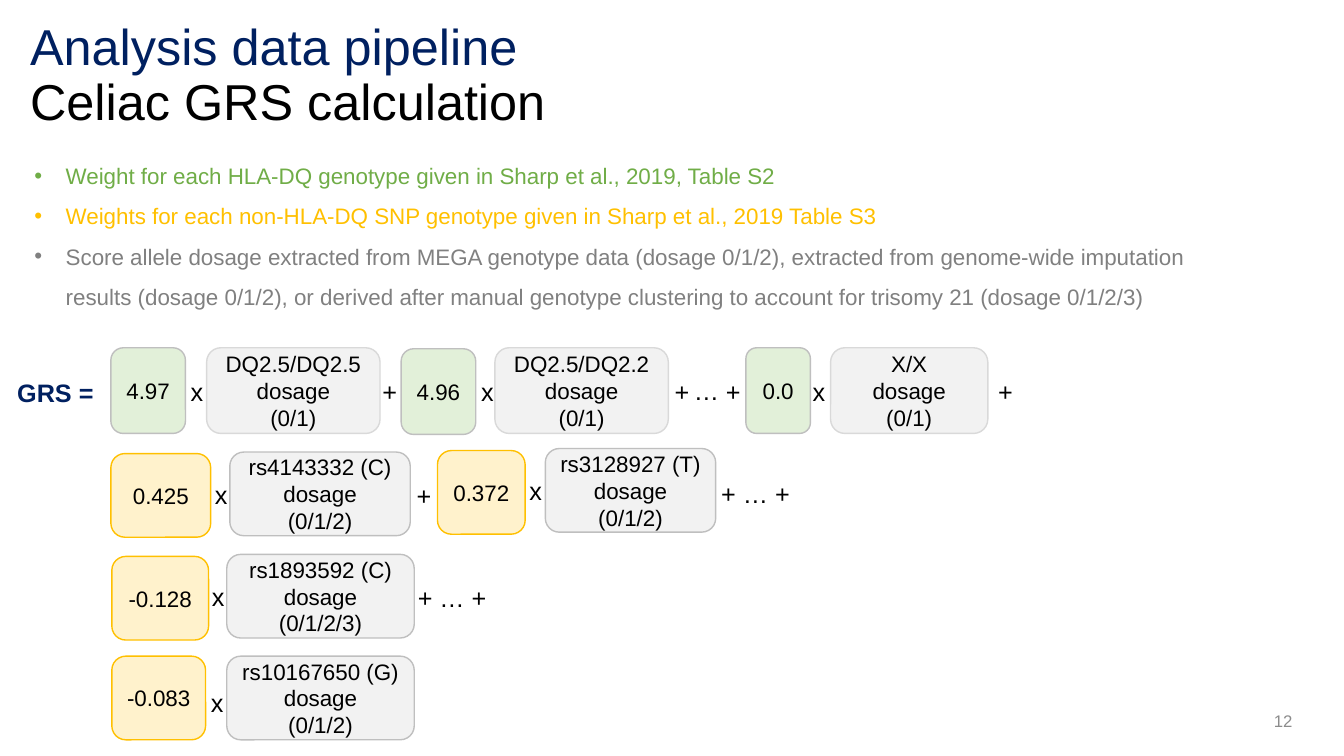
"""Build the slide on the Celiac genetic risk score calculation."""
from dataclasses import dataclass

from lxml import etree
from pptx import Presentation
from pptx import util as u
from pptx.dml.color import RGBColor
from pptx.enum import shapes, text
from pptx.oxml import ns

CELL = u.Inches(0.1)
COLUMNS, ROWS = 133.33, 75


@dataclass(frozen=True)
class Theme:
    font: str = "Arial"
    navy: str = "002060"
    black: str = "000000"
    green: str = "70AD47"
    amber: str = "FFC000"
    grey: str = "808080"
    number_grey: str = "8C8C8C"
    pale_green: str = "E2F0D9"
    pale_amber: str = "FFF2CC"
    pale_grey: str = "F2F2F2"
    light_edge: str = "D9D9D9"
    edge: str = "BFBFBF"
    title_size: int = 36
    sign_size: int = 18
    body_size: int = 16
    number_size: int = 12


THEME = Theme()


@dataclass(frozen=True)
class Style:
    fill: str
    edge: str
    height: float


HLA_WEIGHT = Style(THEME.pale_green, THEME.edge, 8.5)
HLA_DOSAGE = Style(THEME.pale_grey, THEME.light_edge, 8.5)
SNP_WEIGHT = Style(THEME.pale_amber, THEME.amber, 8.3)
SNP_DOSAGE = Style(THEME.pale_grey, THEME.edge, 8.3)


@dataclass(frozen=True)
class Factor:
    style: Style
    left: float
    top: float
    width: float
    lines: tuple[str, ...]


@dataclass(frozen=True)
class Sign:
    label: str
    left: float
    top: float
    width: float = 5.9
    height: float = 5.7


FACTORS = (
    Factor(HLA_WEIGHT, 11, 34.5, 7.4, ("4.97",)),
    Factor(HLA_DOSAGE, 20.5, 34.5, 17.2, ("DQ2.5/DQ2.5", "dosage", "(0/1)")),
    Factor(HLA_WEIGHT, 39.8, 34.6, 7.4, ("4.96",)),
    Factor(HLA_DOSAGE, 49.1, 34.5, 17.2, ("DQ2.5/DQ2.2", "dosage", "(0/1)")),
    Factor(HLA_WEIGHT, 74, 34.5, 6.4, ("0.0",)),
    Factor(HLA_DOSAGE, 82.4, 34.5, 15.6, ("X/X", "dosage", "(0/1)")),
    Factor(SNP_WEIGHT, 11, 45, 9.9, ("0.425",)),
    Factor(SNP_DOSAGE, 22.8, 44.85, 17.9, ("rs4143332 (C) dosage", "(0/1/2)")),
    Factor(SNP_WEIGHT, 43.4, 44.7, 8.7, ("0.372",)),
    Factor(SNP_DOSAGE, 54.1, 44.5, 16.9, ("rs3128927 (T) dosage (0/1/2)",)),
    Factor(SNP_WEIGHT, 11.1, 55.2, 9.6, ("-0.128",)),
    Factor(SNP_DOSAGE, 22.5, 55, 18.6, ("rs1893592 (C) dosage (0/1/2/3)",)),
    Factor(SNP_WEIGHT, 11.1, 65.1, 9.3, ("-0.083",)),
    Factor(SNP_DOSAGE, 22.5, 65.1, 18.6, ("rs10167650 (G) dosage", "(0/1/2)")),
)

HLA_SIGNS = (("x", 16.6), ("+", 35.7), ("x", 45.4), ("+", 64.7), ("+", 69.8),
             ("x", 78.3), ("+", 96.8))

SIGNS = (
    *(Sign(label, left, 36.9, height=3.9) for label, left in HLA_SIGNS),
    Sign("…", 67.3, 34.5, 5.6, 8.5),
    Sign("x", 19, 46.2),
    Sign("+", 39.1, 46.3),
    Sign("x", 50.2, 45.8),
    Sign("+ … +", 69.5, 46.1, 10.9),
    Sign("x", 18.7, 56.3),
    Sign("+ … +", 39.4, 56.4, 10.9),
    Sign("x", 18.6, 66.8),
)

SOURCES = (
    ("Weight for each HLA-DQ genotype given in Sharp et al., 2019, Table S2", THEME.green),
    ("Weights for each non-HLA-DQ SNP genotype given in Sharp et al., 2019 Table S3", THEME.amber),
    ("Score allele dosage extracted from MEGA genotype data (dosage 0/1/2), extracted from "
     "genome-wide imputation results (dosage 0/1/2), or derived after manual genotype "
     "clustering to account for trisomy 21 (dosage 0/1/2/3)", THEME.grey),
)


def cells(count: float) -> int:
    return round(count * CELL)


def set_font(font, size: int, colour: str, bold: bool = False) -> None:
    font.name, font.size, font.bold = THEME.font, u.Pt(size), bold
    font.color.rgb = RGBColor.from_string(colour)


def add_text_frame(slide, left: float, top: float, width: float, height: float):
    frame = slide.shapes.add_textbox(*map(cells, (left, top, width, height))).text_frame
    frame.word_wrap = True
    frame.vertical_anchor = text.MSO_ANCHOR.MIDDLE
    return frame


def add_rounded(slide, left: float, top: float, width: float, height: float):
    box = slide.shapes.add_shape(shapes.MSO_SHAPE.ROUNDED_RECTANGLE,
                                 *map(cells, (left, top, width, height)))
    box.shadow.inherit = False
    box.fill.background()
    box.line.fill.background()
    box.text_frame.word_wrap = True
    box.text_frame.vertical_anchor = text.MSO_ANCHOR.MIDDLE
    return box


def draw_factor(slide, factor: Factor) -> None:
    style = factor.style
    box = add_rounded(slide, factor.left, factor.top, factor.width, style.height)
    box.fill.solid()
    box.fill.fore_color.rgb = RGBColor.from_string(style.fill)
    box.line.color.rgb = RGBColor.from_string(style.edge)
    box.line.width = u.Pt(1)
    box.text_frame.text = "\n".join(factor.lines)
    for line in box.text_frame.paragraphs:
        line.alignment = text.PP_ALIGN.CENTER
        set_font(line.font, THEME.body_size, THEME.black)


def draw_sign(slide, sign: Sign, colour: str = THEME.black, bold: bool = False) -> None:
    box = add_rounded(slide, sign.left, sign.top, sign.width, sign.height)
    line = box.text_frame.paragraphs[0]
    line.text = sign.label
    line.alignment = text.PP_ALIGN.CENTER
    set_font(line.font, THEME.sign_size, colour, bold)


def draw_title(slide) -> None:
    title = add_text_frame(slide, 2, 1.7, 125.5, 11.8).paragraphs[0]
    title.line_spacing = 0.9
    for label, colour in (("Analysis data pipeline", THEME.navy),
                          ("Celiac GRS calculation", THEME.black)):
        if title.runs:
            title.add_line_break()
        run = title.add_run()
        run.text = label
        set_font(run.font, THEME.title_size, colour)


def draw_sources(slide) -> None:
    frame = add_rounded(slide, 1.5, 11, 120.2, 19.2).text_frame
    frame.margin_top = cells(4.8)
    for index, (label, colour) in enumerate(SOURCES):
        source = frame.add_paragraph() if index else frame.paragraphs[0]
        source.text = label
        source.alignment = text.PP_ALIGN.LEFT
        source.line_spacing = 1.5
        properties = source._p.get_or_add_pPr()
        properties.set("marL", str(cells(3.1)))
        properties.set("indent", str(-cells(3.1)))
        etree.SubElement(properties, ns.qn("a:buFont")).set("typeface", THEME.font)
        etree.SubElement(properties, ns.qn("a:buChar")).set("char", "•")
        set_font(source.font, THEME.body_size, colour)


def draw_page_number(slide) -> None:
    number = add_text_frame(slide, 94.2, 69.5, 35, 4).paragraphs[0]
    number.text = "12"
    number.alignment = text.PP_ALIGN.RIGHT
    set_font(number.font, THEME.number_size, THEME.number_grey)


def main() -> None:
    deck = Presentation()
    deck.slide_width, deck.slide_height = cells(COLUMNS), cells(ROWS)
    slide = deck.slides.add_slide(deck.slide_layouts[6])
    for factor in FACTORS:
        draw_factor(slide, factor)
    draw_sign(slide, Sign("GRS =", 0.3, 37, 10.4, 3.9), THEME.navy, bold=True)
    for sign in SIGNS:
        draw_sign(slide, sign)
    draw_sources(slide)
    draw_title(slide)
    draw_page_number(slide)
    deck.save("out.pptx")


if __name__ == "__main__":
    main()
